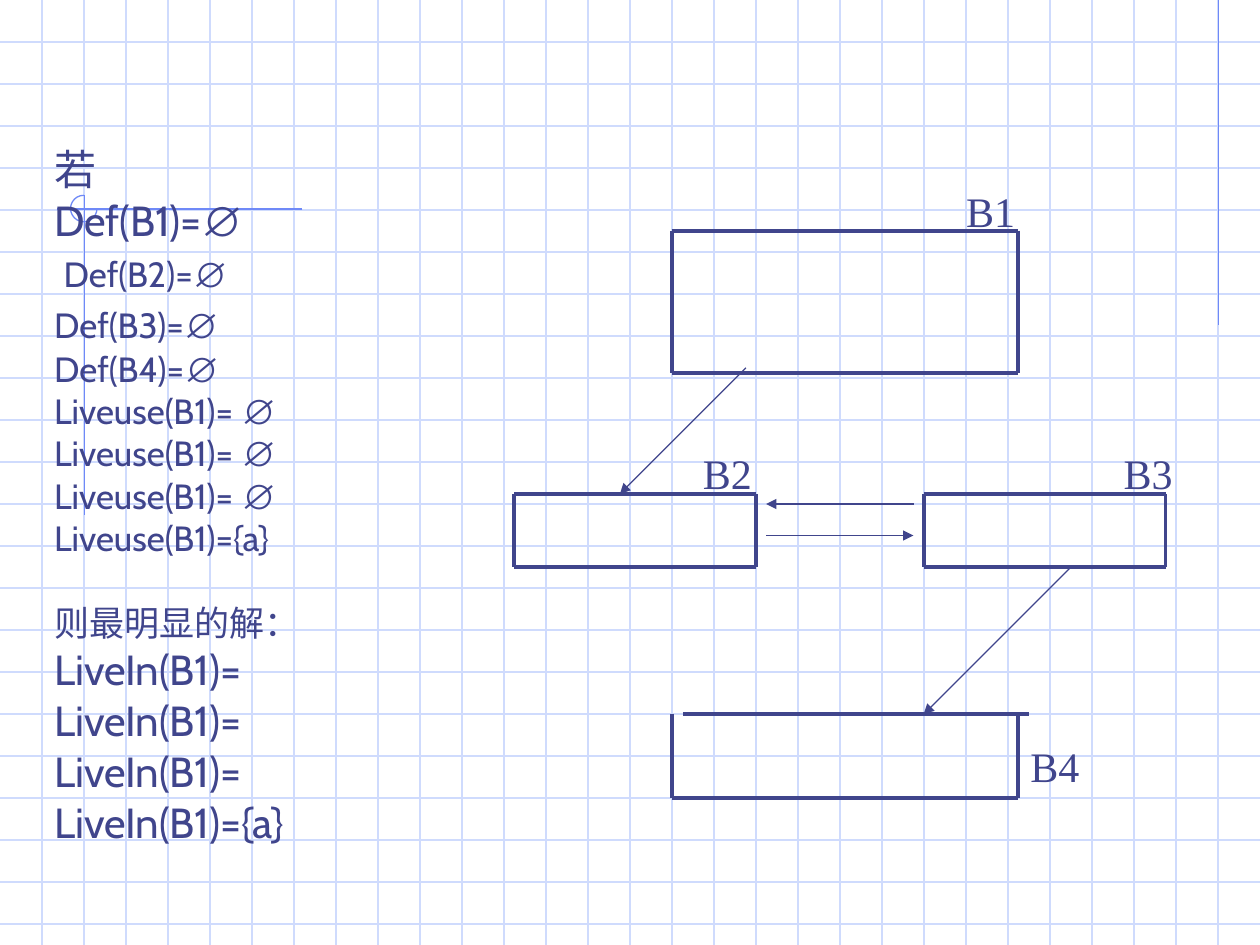
from dataclasses import dataclass

from pptx import Presentation
from pptx.dml.color import RGBColor
from pptx.enum.shapes import MSO_CONNECTOR, MSO_SHAPE
from pptx.enum.text import MSO_ANCHOR, MSO_AUTO_SIZE, PP_ALIGN
from pptx.oxml import parse_xml
from pptx.oxml.ns import nsdecls, qn
from pptx.util import Inches, Pt


@dataclass(frozen=True)
class Theme:
    ink: RGBColor = RGBColor(0x40, 0x45, 0x8C)
    grid: RGBColor = RGBColor(0xCF, 0xDB, 0xFD)
    accent: RGBColor = RGBColor(0x6F, 0x89, 0xF7)
    body: str = "Cabin"
    symbol: str = "Arial"
    label: str = "Times New Roman"
    large: int = 24
    small: int = 20
    thin: float = 0.75
    thick: float = 2.25


THEME = Theme()


@dataclass(frozen=True)
class Block:
    """A flow-graph block drawn from four lines, with its label position."""
    name: str
    left: float
    top: float
    right: float
    bottom: float
    tag_x: float
    tag_y: float
    shift: float = 0  # sideways offset of the top edge


@dataclass(frozen=True)
class Row:
    """One line of the text: (text, size, font) runs and space before."""
    runs: tuple
    before: float


BLOCKS = [
    Block("B1", 5.33, 1.83, 8.08, 2.96, 7.57, 1.42),
    Block("B2", 4.08, 3.92, 6, 4.5, 5.48, 3.5),
    Block("B3", 7.33, 3.92, 9.25, 4.5, 8.82, 3.5),
    Block("B4", 5.33, 5.67, 8.08, 6.33, 8.08, 5.83, shift=0.09),
]
ARROWS = [
    (5.92, 2.92, 4.92, 3.92),
    (7.25, 4, 6.08, 4),
    (6.08, 4.25, 7.25, 4.25),
    (8.5, 4.5, 7.33, 5.67),
]


def big(text: str) -> tuple:
    return text, THEME.large, THEME.body


def mid(text: str) -> tuple:
    return text, THEME.small, THEME.body


def empty(size: int) -> tuple:
    return "∅", size, THEME.symbol


NONE = empty(THEME.small)
ROWS = [
    Row((big("若"),), 6),
    Row((big("Def(B1)="), empty(THEME.large)), 6),
    Row((big(" "), mid("Def(B2)="), NONE, big(" ")), 6),
    Row((mid("Def(B3)="), NONE, big(" ")), 6),
    Row((mid("Def(B4)="), NONE), 5),
    *[Row((mid("Liveuse(B1)= "), NONE), 5)] * 3,
    Row((mid("Liveuse(B1)={a}"),), 5),
    Row((mid("则最明显的解："),), 29),
    *[Row((big("LiveIn(B1)="),), 6)] * 3,
    Row((big("LiveIn(B1)={a}"),), 6),
]


def write(para, text: str, *, size: int, font: str, color: RGBColor = THEME.ink) -> None:
    run = para.add_run()
    run.text = text
    run.font.size = Pt(size)
    run.font.name = font
    run.font.color.rgb = color


def line(shapes, x1: float, y1: float, x2: float, y2: float, *,
         color: RGBColor = THEME.ink, width: float = THEME.thin,
         arrow: bool = False) -> None:
    link = shapes.add_connector(MSO_CONNECTOR.STRAIGHT, Inches(x1), Inches(y1),
                                Inches(x2), Inches(y2))
    link.line.color.rgb = color
    link.line.width = Pt(width)
    props = link.element.spPr
    if arrow:
        props.find(qn("a:ln")).append(
            parse_xml(f'<a:tailEnd {nsdecls("a")} type="triangle"/>'))
    props.append(parse_xml(f'<a:effectLst {nsdecls("a")}/>'))


def backdrop(shapes) -> None:
    # Squared paper, three lines to the inch
    for i in range(1, 23):
        line(shapes, 0, i / 3, 10, i / 3, color=THEME.grid)
    for i in range(1, 30):
        line(shapes, i / 3, 0, i / 3, 7.5, color=THEME.grid)
    # Accent rules and the open circle where they cross
    for ends in [(9.67, 0, 9.67, 2.58), (2.4, 1.66, 0.45, 1.66), (0.67, 1.55, 0.67, 4.09)]:
        line(shapes, *ends, color=THEME.accent)
    arc = shapes.add_shape(MSO_SHAPE.ARC, Inches(0.56), Inches(1.55),
                           Inches(0.21), Inches(0.21))
    arc.adjustments[0], arc.adjustments[1] = 0, 162
    arc.fill.background()
    arc.line.color.rgb = THEME.accent
    arc.line.width = Pt(THEME.thin)
    arc.shadow.inherit = False


def fill_body(body) -> None:
    body.left, body.top = Inches(0.33), Inches(1.17)
    body.width, body.height = Inches(3.17), Inches(6.08)
    frame = body.text_frame
    frame.word_wrap = True
    frame.auto_size = MSO_AUTO_SIZE.NONE
    frame.vertical_anchor = MSO_ANCHOR.TOP
    for i, row in enumerate(ROWS):
        para = frame.add_paragraph() if i else frame.paragraphs[0]
        para.alignment = PP_ALIGN.LEFT
        para.line_spacing = 0.8
        para.space_before = Pt(row.before)
        props = para._p.get_or_add_pPr()
        props.set("marL", str(Inches(0.38)))
        props.set("indent", str(Inches(-0.38)))
        props.append(parse_xml(f'<a:buNone {nsdecls("a")}/>'))
        for text, size, font in row.runs:
            write(para, text, size=size, font=font)


def draw(shapes, box: Block) -> None:
    x1, y1, x2, y2 = box.left, box.top, box.right, box.bottom
    for ends in [(x1 + box.shift, y1, x2 + box.shift, y1), (x1, y2, x2, y2),
                 (x1, y1, x1, y2), (x2, y1, x2, y2)]:
        line(shapes, *ends, width=THEME.thick)
    tag = shapes.add_textbox(Inches(box.tag_x), Inches(box.tag_y),
                             Inches(0.6), Inches(0.5))
    tag.text_frame.word_wrap = True
    write(tag.text_frame.paragraphs[0], box.name, size=THEME.large, font=THEME.label)


def main() -> None:
    deck = Presentation()
    deck.slide_width, deck.slide_height = Inches(10), Inches(7.5)
    slide = deck.slides.add_slide(deck.slide_layouts[1])
    shapes = slide.shapes
    title, body = shapes.title.element, slide.placeholders[1]
    title.getparent().remove(title)

    backdrop(shapes)
    # Text stands in front of the squared paper
    body.element.getparent().append(body.element)
    fill_body(body)

    # Flow graph
    for box in BLOCKS:
        draw(shapes, box)
    for ends in ARROWS:
        line(shapes, *ends, arrow=True)
    deck.save("out.pptx")


if __name__ == "__main__":
    main()
